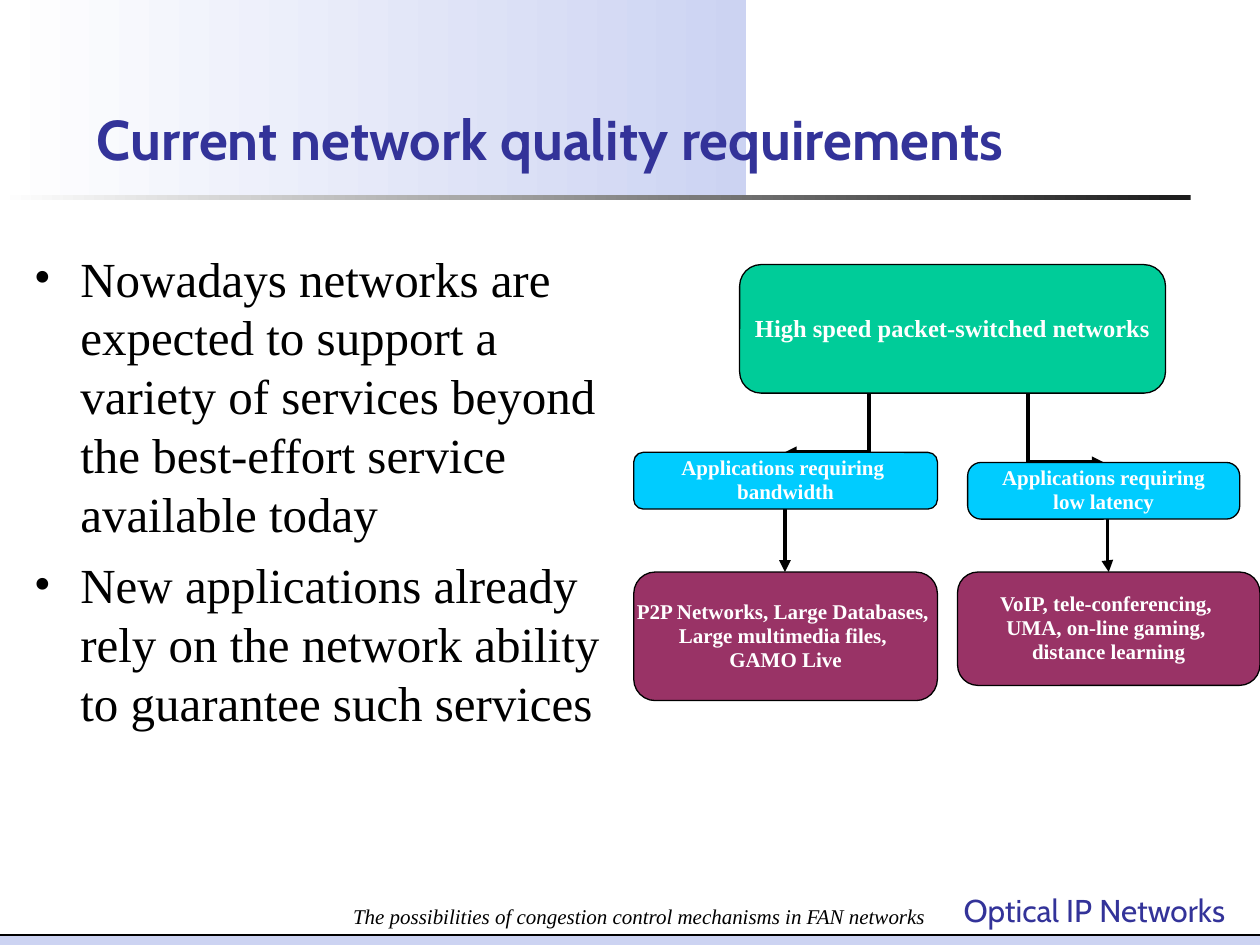
import pptx
import pptx.dml.color
import pptx.enum.shapes
import pptx.enum.text
import pptx.oxml.ns
import pptx.util
from lxml import etree
from pptx.util import Inches

COLOURS = {
    "black": "000000",
    "white": "FFFFFF",
    "charcoal": "1C1C1C",
    "lavender": "CCD3F2",
    "indigo": "333399",
    "green": "00CC99",
    "cyan": "00CCFF",
    "plum": "993366",
}
SANS, SERIF = "Cabin", "Times New Roman"
ALIGN = pptx.enum.text.PP_ALIGN
ANCHOR = pptx.enum.text.MSO_ANCHOR
PRESET = pptx.enum.shapes.MSO_SHAPE
CONNECTOR = pptx.enum.shapes.MSO_CONNECTOR


def colour(name):
    return pptx.dml.color.RGBColor.from_string(COLOURS[name])


def add_child(parent, tag, **attributes):
    return etree.SubElement(parent, pptx.oxml.ns.qn(tag), attributes)


class SlideBuilder:
    """Holds the slide and the shape collection that receives new elements."""

    def __init__(self, slide):
        self.slide = slide
        self.shapes = slide.shapes

    def start_group(self):
        self.shapes = self.slide.shapes.add_group_shape().shapes

    def end_group(self):
        self.shapes = self.slide.shapes

    def shape(self, preset, at):
        shape = self.shapes.add_shape(preset, *map(Inches, at))
        shape.shadow.inherit = False
        return shape

    def band(self, at, start, end=None):
        """Borderless bar; with an end colour it fades from right to left."""
        band = self.shape(PRESET.RECTANGLE, at)
        band.line.fill.background()
        if end is None:
            band.fill.solid()
            band.fill.fore_color.rgb = colour(start)
            return
        band.fill.gradient()
        band.fill.gradient_angle = 180
        for stop, name in zip(band.fill.gradient_stops, (start, end)):
            stop.color.rgb = colour(name)

    def fill_frame(self, frame, lines, size, font, ink, bold=False, italic=False,
                   align=ALIGN.LEFT, spacing=None):
        for index, line in enumerate(lines):
            para = frame.paragraphs[0] if index == 0 else frame.add_paragraph()
            para.text = line
            para.alignment = align
            para.line_spacing = spacing
            para.font.size = pptx.util.Pt(size)
            para.font.name = font
            para.font.bold = bold
            para.font.italic = italic
            para.font.color.rgb = colour(ink)

    def text(self, at, lines, size, font, ink, anchor=ANCHOR.TOP, wrap=True, **style):
        frame = self.shapes.add_textbox(*map(Inches, at)).text_frame
        frame.word_wrap = wrap
        frame.vertical_anchor = anchor
        self.fill_frame(frame, lines, size, font, ink, **style)
        return frame

    def bullets(self, at, lines, size):
        frame = self.text(at, lines, size, SERIF, "black")
        for para in frame.paragraphs:
            para.space_before = pptx.util.Pt(7)
            properties = para._p.get_or_add_pPr()
            properties.set("marL", str(Inches(0.37)))
            properties.set("indent", str(Inches(-0.37)))
            bullet_colour = add_child(properties, "a:buClr")
            add_child(bullet_colour, "a:srgbClr", val=COLOURS["black"])
            add_child(properties, "a:buFont", typeface=SERIF)
            add_child(properties, "a:buChar", char="•")
            # The schema wants the default run properties after the bullet.
            properties.append(properties.find(pptx.oxml.ns.qn("a:defRPr")))

    def node(self, at, fill, lines, size=12, corner=0.167, inset=0.02):
        node = self.shape(PRESET.ROUNDED_RECTANGLE, at)
        node.adjustments[0] = corner
        node.fill.solid()
        node.fill.fore_color.rgb = colour(fill)
        node.line.color.rgb = colour("black")
        node.line.width = pptx.util.Pt(0.75)
        frame = node.text_frame
        frame.word_wrap = False
        frame.vertical_anchor = ANCHOR.MIDDLE
        frame.margin_left = frame.margin_right = Inches(inset)
        frame.margin_top = frame.margin_bottom = Inches(0.01)
        self.fill_frame(frame, lines, size, SERIF, "white", bold=True,
                        align=ALIGN.CENTER, spacing=0.95)

    def line(self, start, end, width, kind=CONNECTOR.STRAIGHT):
        line = self.shapes.add_connector(kind, *map(Inches, start + end))
        line.line.color.rgb = colour("black")
        line.line.width = pptx.util.Pt(width)
        add_child(line._element.spPr, "a:effectLst")
        return line

    def elbow_arrow(self, tip, tail):
        arrow = self.line(tip, tail, 2.25, CONNECTOR.ELBOW)
        outline = arrow._element.spPr.find(pptx.oxml.ns.qn("a:ln"))
        add_child(outline, "a:headEnd", type="triangle")


def add_backdrop(builder):
    builder.band((0, 0, 5.92, 1.58), "lavender", "white")
    builder.band((0, 1.55, 9.45, 0.04), "charcoal", "white")
    builder.band((0, 7.42, 10, 0.08), "lavender")
    builder.line((0, 7.42), (10, 7.42), 0.75)
    builder.text((7.55, 7.02, 2.52, 0.4), ["Optical IP Networks"],
                 18, SANS, "indigo", wrap=False)


def add_diagram(builder):
    builder.start_group()
    root_exit = (7.56, 3.11)
    for tip, tail in [
        ((6.23, 4.54), (6.23, 4.04)),
        ((8.8, 4.54), (8.78, 3.75)),
        ((8.76, 3.67), root_exit),
        ((6.23, 3.59), root_exit),
    ]:
        builder.elbow_arrow(tip, tail)

    builder.node((5.87, 2.1, 3.38, 1.02), "green",
                 ["High speed packet-switched networks"], size=14)
    builder.node((5.03, 3.59, 2.41, 0.45), "cyan",
                 ["Applications requiring ", "bandwidth"])
    builder.node((7.68, 3.67, 2.16, 0.45), "cyan",
                 ["Applications requiring", "low latency"], corner=0.238)
    builder.node((7.6, 4.54, 2.4, 0.9), "plum",
                 ["VoIP, tele-conferencing, ", "UMA, on-line gaming, ", "distance learning"],
                 corner=0.18, inset=0.03)
    builder.node((5.03, 4.54, 2.41, 1.02), "plum",
                 ["P2P Networks, Large Databases, ", "Large multimedia files, ", "GAMO Live"],
                 inset=0.03)
    builder.end_group()


def main():
    deck = pptx.Presentation()
    deck.slide_width, deck.slide_height = Inches(10), Inches(7.5)
    builder = SlideBuilder(deck.slides.add_slide(deck.slide_layouts[6]))

    add_backdrop(builder)
    builder.text((0.67, 0.11, 7.75, 1.3), ["Current network quality requirements"],
                 32, SANS, "indigo", anchor=ANCHOR.BOTTOM, bold=True)
    builder.bullets((0.17, 1.92, 4.73, 4.79), [
        "Nowadays networks are expected to support a variety of services "
        "beyond the best-effort service available today",
        "New applications already rely on the network ability to guarantee such services",
    ], size=28)
    add_diagram(builder)
    builder.text((2.48, 6.92, 5.19, 0.5),
                 ["The possibilities of congestion control mechanisms in FAN networks"],
                 12, SERIF, "black", anchor=ANCHOR.BOTTOM, italic=True, align=ALIGN.CENTER)
    deck.save("out.pptx")


if __name__ == "__main__":
    main()
